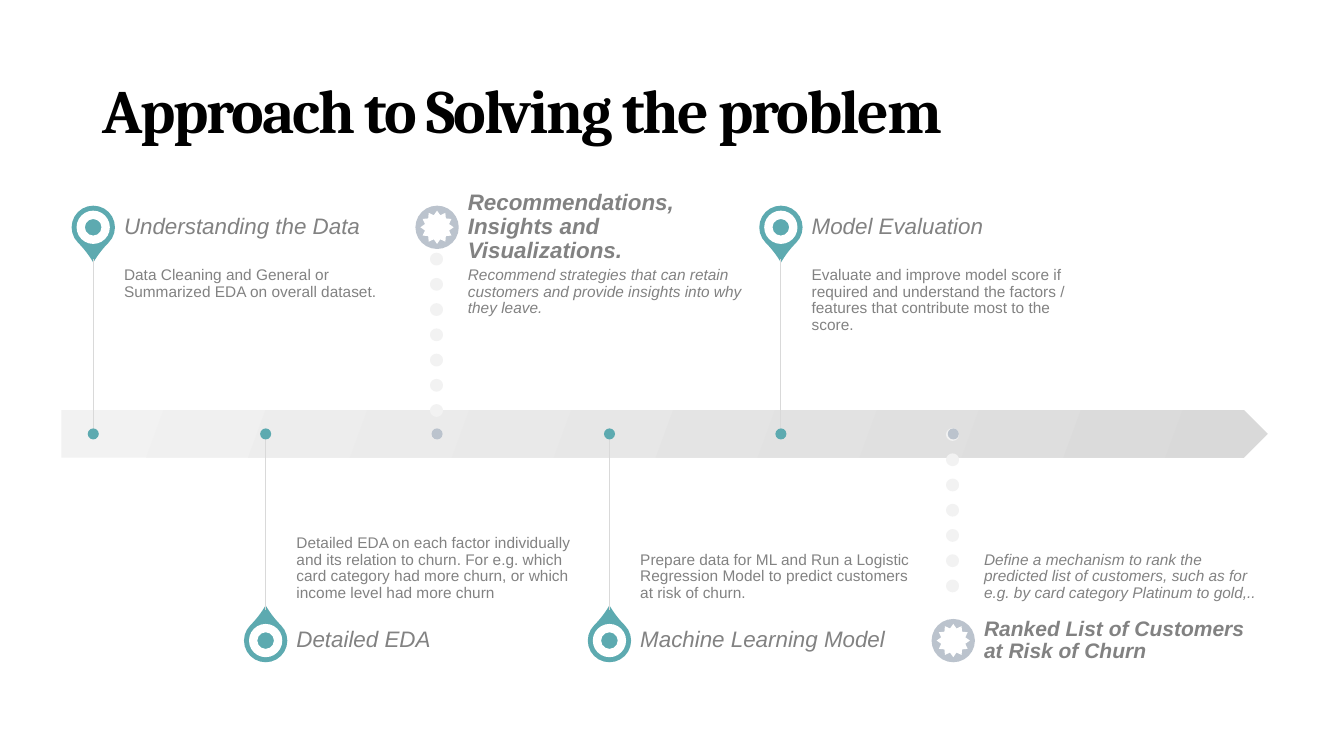
from dataclasses import dataclass

from lxml.etree import SubElement
from pptx import Presentation
from pptx.dml.color import RGBColor
from pptx.enum.dml import MSO_LINE
from pptx.enum.shapes import MSO_CONNECTOR, MSO_SHAPE
from pptx.enum.text import MSO_ANCHOR, PP_ALIGN
from pptx.oxml.ns import qn
from pptx.util import Emu, Pt

EMU_PER_PX = 9144
TEAL, SLATE, GREY, WHITE = "5DAAB0", "BBC3CD", "828282", "FFFFFF"
PALE, SILVER, BLACK = "F2F2F2", "D9D9D9", "000000"


@dataclass
class Step:
    """One milestone of the timeline."""
    heading: str
    detail: str
    outcome: bool = False
    heading_size: int = 16


STEPS = [
    Step("Understanding the Data",
         "Data Cleaning and General or Summarized EDA on overall dataset."),
    Step("Detailed EDA",
         "Detailed EDA on each factor individually and its relation to churn. For e.g. "
         "which card category had more churn, or which income level had more churn"),
    Step("Recommendations, Insights and Visualizations.",
         "Recommend strategies that can retain customers and provide insights into why "
         "they leave.", outcome=True),
    Step("Machine Learning Model",
         "Prepare data for ML and Run a Logistic Regression Model to predict customers "
         "at risk of churn."),
    Step("Model Evaluation",
         "Evaluate and improve model score if required and understand the factors / "
         "features that contribute most to the score."),
    Step("Ranked List of Customers at Risk of Churn",
         "Define a mechanism to rank the predicted list of customers, such as for e.g. "
         "by card category Platinum to gold,..", outcome=True, heading_size=15),
]


def px(length):
    """Turn pixels into EMU."""
    return Emu(length * EMU_PER_PX)


def color(value):
    """Turn a hex string into a colour."""
    return RGBColor.from_string(value)


def add_shape(slide, kind, left, top, width, height, fill, rotation=0):
    """Add a flat shape without outline or shadow."""
    shape = slide.shapes.add_shape(kind, px(left), px(top), px(width), px(height))
    shape.shadow.inherit = False
    shape.line.fill.background()
    shape.fill.solid()
    shape.fill.fore_color.rgb = color(fill)
    shape.rotation = rotation
    return shape


def add_text(slide, box, text, size, anchor, insets, font="Arial", fill=GREY,
             bold=False, italic=False):
    """Add a wrapped text box with one run and return the run."""
    frame = slide.shapes.add_textbox(*map(px, box)).text_frame
    frame.word_wrap = True
    frame.vertical_anchor = anchor
    (frame.margin_left, frame.margin_top,
     frame.margin_right, frame.margin_bottom) = map(px, insets)
    paragraph = frame.paragraphs[0]
    paragraph.alignment = PP_ALIGN.LEFT
    paragraph.line_spacing = 0.9
    run = paragraph.add_run()
    run.text = text
    run.font.name = font
    run.font.size = Pt(size)
    run.font.bold = bold
    run.font.italic = italic
    run.font.color.rgb = color(fill)
    return run


def add_stem(slide, center, top, bottom, dotted):
    """Add the vertical line between the arrow and a pin."""
    stem = slide.shapes.add_connector(
        MSO_CONNECTOR.STRAIGHT, px(center), px(top), px(center), px(bottom))
    properties = stem._element.spPr
    stem.line.color.rgb = color(PALE if dotted else SILVER)
    stem.line.width = Pt(9 if dotted else 0.25)
    if dotted:
        stem.line.dash_style = MSO_LINE.ROUND_DOT
        properties.find(qn("a:ln")).set("cap", "rnd")
    SubElement(properties, qn("a:effectLst"))


def add_title(slide, left, top, width, height):
    """Add the slide title."""
    run = add_text(slide, (left, top, width, height), "Approach to Solving the problem",
                   44, MSO_ANCHOR.MIDDLE, (10, 5, 10, 5), "Cambria", BLACK, bold=True)
    run._r.get_or_add_rPr().set("spc", "-150")


def add_arrow(slide, left, top, width, height):
    """Add the shaded arrow of the timeline."""
    arrow = add_shape(slide, MSO_SHAPE.PENTAGON, left, top, width, height, PALE)
    arrow.fill.gradient()
    arrow.fill.gradient_angle = 340
    for stop, shade in zip(arrow.fill.gradient_stops, (PALE, SILVER)):
        stop.color.rgb = color(shade)


def add_pin(slide, left, top, size, outcome, above):
    """Add a teardrop pin, or a round star badge for an outcome."""
    kind, inner_kind, fill = (
        (MSO_SHAPE.OVAL, MSO_SHAPE.STAR_12_POINT, SLATE) if outcome
        else (MSO_SHAPE.TEAR, MSO_SHAPE.DONUT, TEAL))
    pin = add_shape(slide, kind, left, top, size, size, fill, 135 if above else 315)
    if not outcome:
        pin.adjustments[0] = 1.15
    add_shape(slide, inner_kind, left + 5, top + 5, size - 10, size - 10, WHITE)


def add_step(slide, step, center, axis, above):
    """Add one milestone above or below the axis."""
    reach, heading_height, text_width = 174, 61, 282
    detail_top = axis - reach if above else axis
    heading_top = detail_top - heading_height - 1 if above else axis + reach
    text_left = center + 31
    add_pin(slide, center - 21, heading_top + 9, 43, step.outcome, above)
    add_text(slide, (text_left, detail_top, text_width, reach), step.detail, 11,
             MSO_ANCHOR.TOP if above else MSO_ANCHOR.BOTTOM,
             (0, 8, 8, 11) if above else (0, 11, 0, 8), italic=step.outcome)
    add_text(slide, (text_left, heading_top, text_width, heading_height), step.heading,
             step.heading_size, MSO_ANCHOR.MIDDLE, (0, 0, 11, 0),
             bold=step.outcome, italic=True)
    add_stem(slide, center, detail_top, detail_top + reach, step.outcome)
    add_shape(slide, MSO_SHAPE.OVAL, center - 5, axis - 6, 11, 11,
              SLATE if step.outcome else TEAL)


def add_timeline(slide, left, top, width, height):
    """Add the arrow and its milestones, alternating above and below."""
    add_arrow(slide, left, top, width, height)
    for index, step in enumerate(STEPS):
        center = left + 31 + round(index * 170.6)
        add_step(slide, step, center, top + height // 2 + 1, above=index % 2 == 0)


def main():
    """Build and save the slide."""
    presentation = Presentation()
    presentation.slide_width, presentation.slide_height = px(1333), px(750)
    slide = presentation.slides.add_slide(presentation.slide_layouts[6])
    add_title(slide, 92, 40, 1150, 145)
    add_timeline(slide, 61, 407, 1196, 47)
    presentation.save("out.pptx")


if __name__ == "__main__":
    main()
